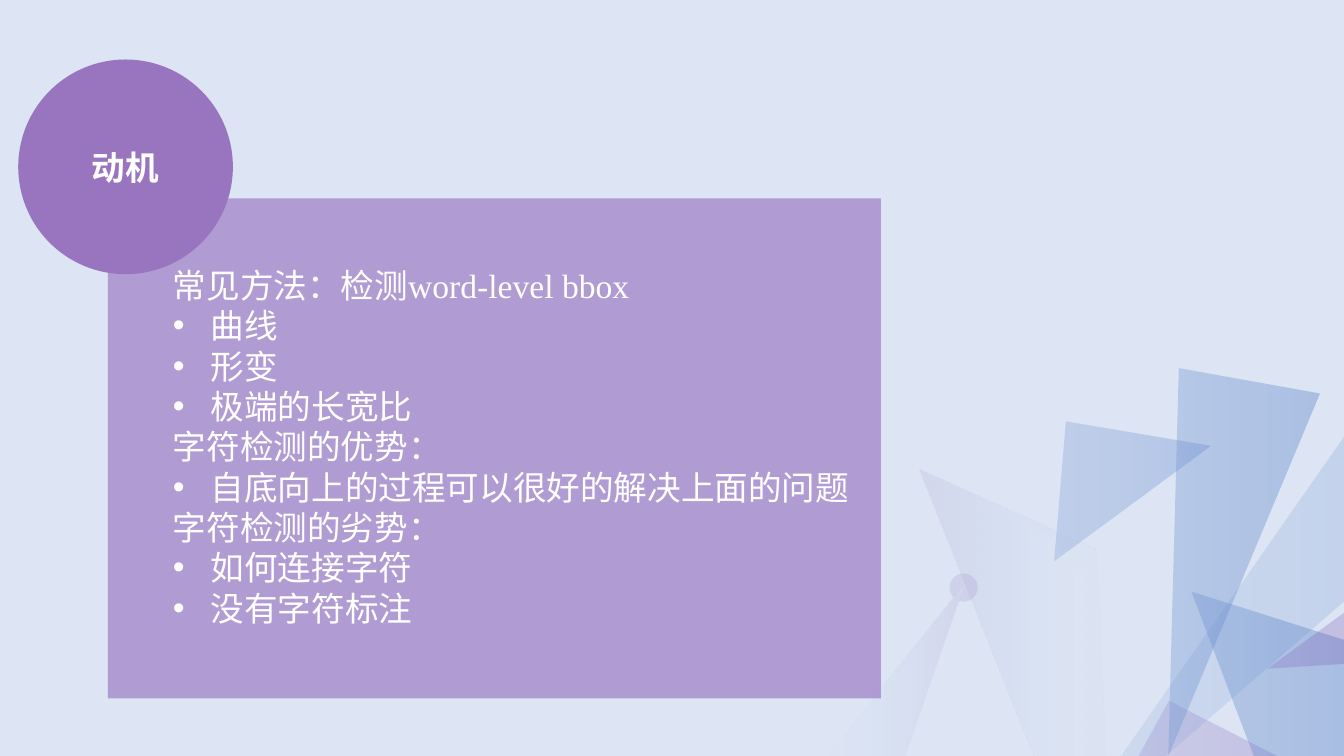
from lxml import etree
from pptx import Presentation
from pptx.dml.color import RGBColor
from pptx.enum.shapes import MSO_SHAPE
from pptx.enum.text import MSO_ANCHOR, PP_ALIGN
from pptx.oxml import parse_xml
from pptx.oxml.ns import nsdecls, qn
from pptx.util import Cm, Pt

TRIANGLE, OVAL, RECTANGLE = (
    MSO_SHAPE.ISOSCELES_TRIANGLE, MSO_SHAPE.OVAL, MSO_SHAPE.RECTANGLE)
MIDDLE, CENTER = MSO_ANCHOR.MIDDLE, PP_ALIGN.CENTER

COLORS = {"blue": "4472C4", "violet": "7030A0", "lilac": "9975C0",
          "white": "FFFFFF", "mist": "F6F8FC", "haze": "EBEFF8",
          "blush": "DDCDE8"}
CJK_FONT, LATIN_FONT = "Noto Sans CJK SC", "Times New Roman"

# Gradients: stops as (position %, colour, opacity %), then the direction
GRADIENTS = {
    "glow": ([(0, "mist", 0), (51, "haze", 100), (100, "blush", 100)],
             '<a:path path="shape"><a:fillToRect l="50000" t="50000" '
             'r="50000" b="50000"/></a:path>'),
    "veil": ([(0, "white", 0), (50, "white", 100), (100, "white", 0)],
             '<a:lin ang="10800000" scaled="0"/>'),
}

# Kind, left, top, width, height (cm), rotation, apex, fill, opacity %
SHAPES = [
    (TRIANGLE, 20.6, 15.65, 13.18, 3.38, 68.3, 0.267, "glow", 100),
    (TRIANGLE, 23.14, 17.86, 12.85, 6.12, 337.9, 0.588, "violet", 24),
    (TRIANGLE, 27.97, 17.88, 15.09, 6.02, 69.2, 0.316, "blue", 36),
    (TRIANGLE, 31.8, 12.45, 12.57, 4.01, 356.4, 0.5, "violet", 24),
    (TRIANGLE, 24.77, 12.04, 9.91, 3.53, 292.7, 0.921, "blue", 36),
    (TRIANGLE, 22.89, 11.76, 18.36, 4.27, 319.1, 0.921, "blue", 17),
    (TRIANGLE, 26.54, 10.9, 3.71, 3.53, 189.6, 0.921, "blue", 36),
    (OVAL, 23.93, 14.45, 0.71, 0.71, 0, None, "violet", 30),
    (TRIANGLE, 13.97, 18.69, 13.18, 3.38, 289.1, 0.267, "glow", 100),
    (RECTANGLE, -0.46, -1.37, 35.36, 23.83, 0, None, "veil", 100),
    (RECTANGLE, -2.18, -0.74, 38.23, 23.83, 0, None, "blue", 18),
    (RECTANGLE, 2.72, 5, 19.48, 12.6, 0, None, "lilac", 65),
    (OVAL, 0.46, 1.5, 5.41, 5.41, 0, None, "lilac", 100),
]

# Text and whether it is a bullet
LINES = [
    ("常见方法：检测word-level bbox", False),
    ("曲线", True),
    ("形变", True),
    ("极端的长宽比", True),
    ("字符检测的优势：", False),
    ("自底向上的过程可以很好的解决上面的问题", True),
    ("字符检测的劣势：", False),
    ("如何连接字符", True),
    ("没有字符标注", True),
]


def paint(shape, fill, opacity):
    """Fill with a named gradient, or with a colour at the given opacity."""
    if fill in GRADIENTS:
        stops, direction = GRADIENTS[fill]
        stop_xml = "".join(
            f'<a:gs pos="{position * 1000}"><a:srgbClr val="{COLORS[color]}">'
            f'<a:alpha val="{alpha * 1000}"/></a:srgbClr></a:gs>'
            for position, color, alpha in stops)
        gradient = parse_xml(
            f'<a:gradFill {nsdecls("a")} rotWithShape="1">'
            f'<a:gsLst>{stop_xml}</a:gsLst>{direction}</a:gradFill>')
        shape._element.spPr.find(qn("a:prstGeom")).addnext(gradient)
        return
    shape.fill.solid()
    shape.fill.fore_color.rgb = RGBColor.from_string(COLORS[fill])
    if opacity < 100:
        color = shape._element.spPr.find(f"{qn('a:solidFill')}/{qn('a:srgbClr')}")
        etree.SubElement(color, qn("a:alpha"), val=str(opacity * 1000))


def write(para, text, latin, bold):
    span = para.add_run()
    span.text = text
    formats = {"name": latin, "size": Pt(24), "bold": bold}
    for name, value in formats.items():
        setattr(span.font, name, value)
    span.font.color.rgb = RGBColor.from_string(COLORS["white"])
    etree.SubElement(span._r.get_or_add_rPr(), qn("a:ea"), typeface=CJK_FONT)


deck = Presentation()
deck.slide_width, deck.slide_height = Cm(33.87), Cm(19.05)
page = deck.slides.add_slide(deck.slide_layouts[6])

for kind, left, top, width, height, rotation, apex, fill, opacity in SHAPES:
    shape = page.shapes.add_shape(kind, Cm(left), Cm(top), Cm(width), Cm(height))
    shape.rotation = rotation
    shape.shadow.inherit = False
    shape.line.fill.background()
    if apex is not None:
        shape.adjustments[0] = apex
    paint(shape, fill, opacity)

# The last shape is the title circle
title_frame = shape.text_frame
title_frame.vertical_anchor = MIDDLE
title_frame.paragraphs[0].alignment = CENTER
write(title_frame.paragraphs[0], "动机", CJK_FONT, True)

box = page.shapes.add_textbox(Cm(4.11), Cm(6.55), Cm(18.67), Cm(9.5))
frame = box.text_frame
frame.word_wrap = True
for index, (text, bulleted) in enumerate(LINES):
    para = frame.add_paragraph() if index else frame.paragraphs[0]
    write(para, text, LATIN_FONT, False)
    if bulleted:
        properties = para._p.get_or_add_pPr()
        properties.set("marL", str(Cm(0.95)))
        properties.set("indent", str(-Cm(0.95)))
        etree.SubElement(properties, qn("a:buFont"), typeface="Arial")
        etree.SubElement(properties, qn("a:buChar"), char="•")

deck.save("out.pptx")
